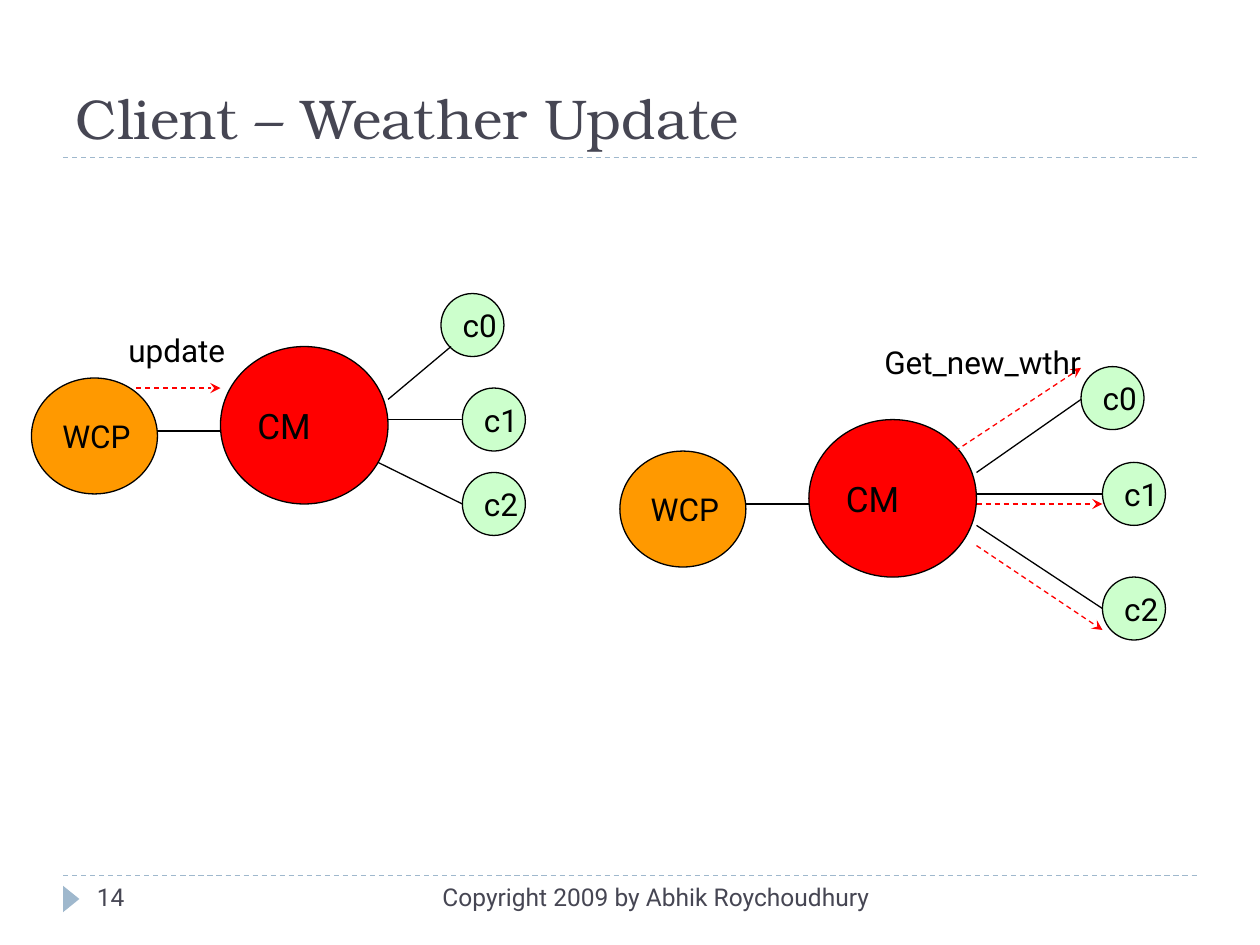
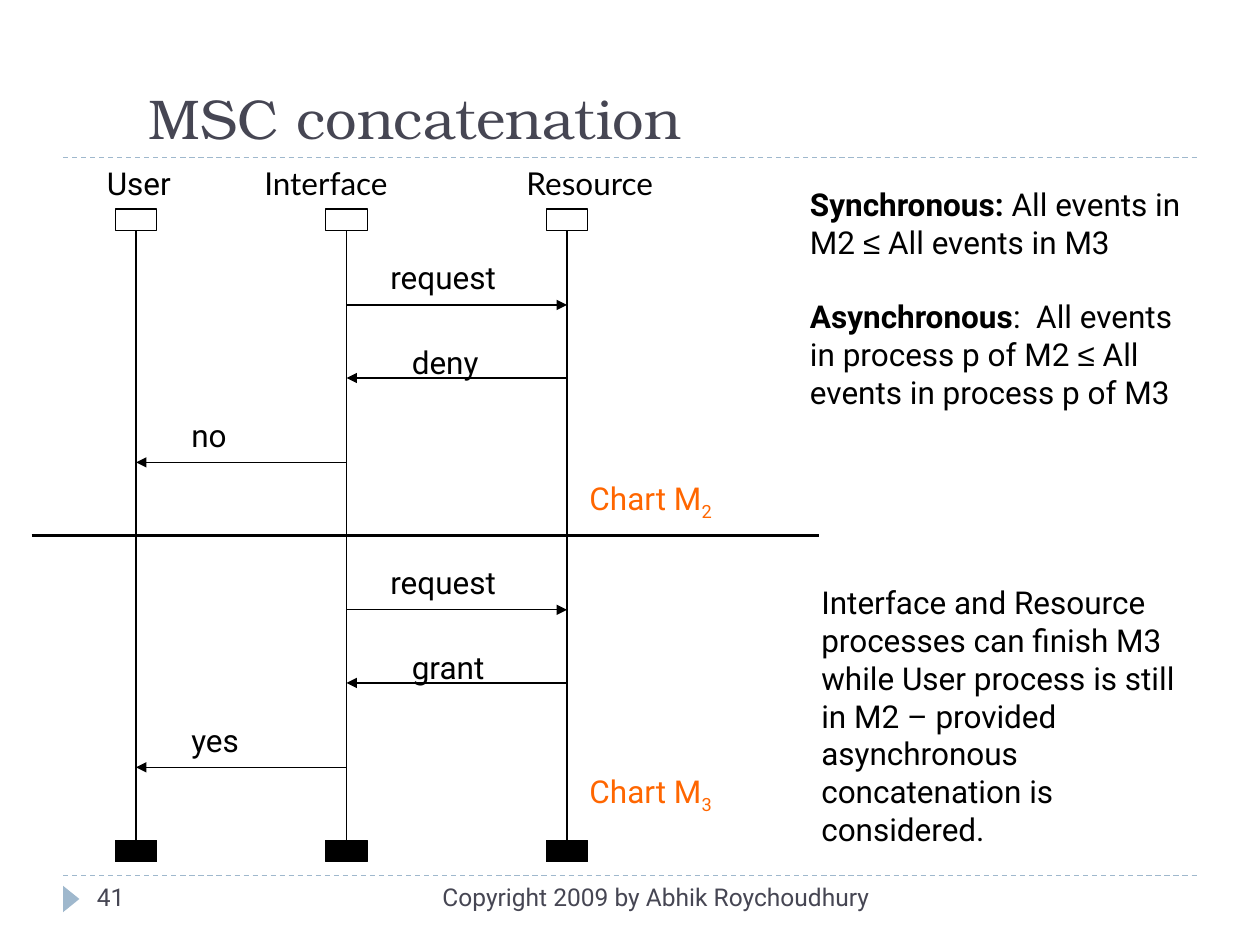
from lxml.etree import SubElement
from pptx import Presentation
from pptx.dml.color import RGBColor
from pptx.enum.dml import MSO_LINE
from pptx.enum.shapes import MSO_CONNECTOR, MSO_SHAPE
from pptx.enum.text import MSO_ANCHOR, MSO_AUTO_SIZE, PP_ALIGN
from pptx.oxml.ns import qn
from pptx.util import Inches, Pt

BLACK = RGBColor(0x00, 0x00, 0x00)
SLATE = RGBColor(0x46, 0x46, 0x53)
STEEL = RGBColor(0x9F, 0xB8, 0xCD)
RED = RGBColor(0xFF, 0x00, 0x00)
AMBER = RGBColor(0xFF, 0x99, 0x00)
MINT = RGBColor(0xCC, 0xFF, 0xCC)
ORANGE = RGBColor(0xFF, 0x66, 0x00)
TITLE_FONT, BODY_FONT, LABEL_FONT, SYMBOL_FONT = "TeX Gyre Bonum", "Roboto", "Lato", "Arial"

LIFELINES = (1.08, 2.75, 4.5)
MSC_TOP, MSC_HEIGHT = 1.83, 2.42
END_WIDTH, END_HEIGHT = 0.33, 0.17


def set_font(paragraph, size=18, color=BLACK, name=BODY_FONT):
    """Format a whole paragraph."""
    paragraph.font.size = Pt(size)
    paragraph.font.name = name
    paragraph.font.color.rgb = color


def add_text(slide, left, top, width, height, text, size=18, color=BLACK, name=BODY_FONT):
    """Add a wrapping text box and return its first paragraph."""
    frame = slide.shapes.add_textbox(Inches(left), Inches(top), Inches(width), Inches(height)).text_frame
    frame.word_wrap = True
    paragraph = frame.paragraphs[0]
    paragraph.text = text
    set_font(paragraph, size, color, name)
    return paragraph


def add_line(slide, start, end, color=BLACK, width=0.75, dashed=False, arrow=None):
    """Add a straight line, optionally dashed and with an arrowhead at its end."""
    line = slide.shapes.add_connector(MSO_CONNECTOR.STRAIGHT, *(Inches(v) for v in (*start, *end)))
    line.line.color.rgb = color
    line.line.width = Pt(width)
    if dashed:
        line.line.dash_style = MSO_LINE.DASH
    if arrow:
        SubElement(line.line._get_or_add_ln(), qn("a:tailEnd"), type=arrow)
    SubElement(line._element.spPr, qn("a:effectLst"))
    return line


def add_figure(slide, preset, left, top, width, height, fill=None, outline=BLACK):
    """Add a flat preset shape."""
    figure = slide.shapes.add_shape(preset, Inches(left), Inches(top), Inches(width), Inches(height))
    figure.shadow.inherit = False
    if fill is None:
        figure.fill.background()
    else:
        figure.fill.solid()
        figure.fill.fore_color.rgb = fill
    if outline is None:
        figure.line.fill.background()
    else:
        figure.line.color.rgb = outline
        figure.line.width = Pt(0.75)
    return figure


def add_node(slide, left, top, width, height, label, fill, size=18):
    """Add a labelled process circle."""
    node = add_figure(slide, MSO_SHAPE.OVAL, left, top, width, height, fill)
    frame = node.text_frame
    frame.word_wrap = False
    frame.vertical_anchor = MSO_ANCHOR.MIDDLE
    paragraph = frame.paragraphs[0]
    paragraph.text = label
    paragraph.alignment = PP_ALIGN.LEFT
    set_font(paragraph, size)


def add_base_slide(deck, title, number, left, top, width):
    """Start a slide with its title, rules and footer."""
    slide = deck.slides.add_slide(deck.slide_layouts[5])
    heading = slide.shapes.title
    heading.left, heading.top = Inches(left), Inches(top)
    heading.width, heading.height = Inches(width), Inches(1.25 - top)
    frame = heading.text_frame
    frame.text = title
    frame.auto_size = MSO_AUTO_SIZE.NONE
    frame.vertical_anchor = MSO_ANCHOR.BOTTOM
    frame.paragraphs[0].alignment = PP_ALIGN.LEFT
    set_font(frame.paragraphs[0], 32, SLATE, TITLE_FONT)
    for y in (6.95, 1.25):
        add_line(slide, (0.5, y), (9.5, y), STEEL, dashed=True)
    marker = add_figure(slide, MSO_SHAPE.ISOSCELES_TRIANGLE, 0.46, 7.07, 0.21, 0.13, STEEL, None)
    marker.rotation = 90
    notice = add_text(slide, 3.17, 6.95, 3.83, 0.4, "Copyright 2009 by Abhik Roychoudhury", 14, SLATE)
    notice.alignment = PP_ALIGN.RIGHT
    add_text(slide, 0.67, 6.95, 2.17, 0.4, number, 14, SLATE)
    return slide


def add_network(slide, left, top, clients, links, messages, caption):
    """Draw WCP, CM and the clients, with all offsets taken from the box corner."""
    def at(x, y):
        return left + x, top + y

    add_node(slide, *at(1.5, 0.42), 1.33, 1.25, "CM", RED, 20)
    add_node(slide, *at(0, 0.67), 1, 0.92, "WCP", AMBER)
    for index, client in enumerate(clients):
        add_node(slide, *at(*client), 0.5, 0.5, f"c{index}", MINT)
    for start, end in (((1.5, 1.09), (1, 1.09)), *links):
        add_line(slide, at(*start), at(*end))
    for start, end in messages:
        add_line(slide, at(*start), at(*end), RED, dashed=True, arrow="stealth")
    x, y, width, text = caption
    add_text(slide, *at(x, y), width, 0.4, text)


def add_weather_slide(deck):
    """Build the slide on the client weather update."""
    slide = add_base_slide(deck, "Client – Weather Update", "14", 0.5, 0.17, 9)
    add_network(
        slide, 0.25, 2.33,
        clients=((3.25, 0), (3.42, 0.75), (3.42, 1.42)),
        links=(((3.33, 0.42), (2.83, 0.84)), ((3.42, 1), (2.83, 1)), ((3.42, 1.67), (2.75, 1.34))),
        messages=(((0.83, 0.75), (1.5, 0.75)),),
        caption=(0.67, 0.25, 1.5, "update"))
    add_network(
        slide, 4.92, 2.91,
        clients=((3.66, 0), (3.83, 0.76), (3.83, 1.67)),
        links=(((3.66, 0.26), (2.83, 0.84)), ((3.83, 1.01), (2.83, 1.01)), ((3.83, 1.92), (2.83, 1.26))),
        messages=(((2.66, 0.67), (3.66, 0.01)), ((2.83, 1.09), (3.83, 1.09)), ((2.83, 1.42), (3.83, 2.09))),
        caption=(2, -0.24, 2, "Get_new_wthr"))


def add_process_ends(slide, top, fill=None):
    """Add one row of boxes centred on the lifelines."""
    return [add_figure(slide, MSO_SHAPE.RECTANGLE, x - END_WIDTH / 2, top, END_WIDTH, END_HEIGHT, fill)
            for x in LIFELINES]


def add_msc(slide, top, answers, number, name_offset):
    """Draw one chart: lifelines, three messages and the chart name."""
    user, interface, resource = LIFELINES
    lifelines = [add_line(slide, (x, top), (x, top + MSC_HEIGHT)) for x in LIFELINES]
    messages = (
        (interface, resource, 0.59, 3, 0.17, "request"),
        (resource, interface, 1.17, 3.17, 0.84, answers[0]),
        (interface, user, 1.84, 1.42, 1.42, answers[1]),
    )
    for sender, receiver, y, label_left, label_top, label in messages:
        add_line(slide, (sender, top + y), (receiver, top + y), arrow="triangle")
        add_text(slide, label_left, top + label_top, 1.17, 0.4, label)
    name = add_text(slide, 4.58, top + name_offset, 1.42, 0.44, "Chart M", color=ORANGE)
    subscript = name.add_run()
    subscript.text = number
    subscript.font._element.set("baseline", "-25000")
    return lifelines


def add_definitions(slide, left, top, width, height):
    """Explain the two kinds of concatenation."""
    definitions = (
        ("Synchronous:", " All events in M2 ", " All events in M3"),
        ("Asynchronous", ":  All events in process p of M2 ", " All events in process p of M3"),
    )
    paragraph = add_text(slide, left, top, width, height, "")
    frame = slide.shapes[-1].text_frame
    for index, (term, before, after) in enumerate(definitions):
        if index:
            paragraph = frame.add_paragraph()
            paragraph.space_before = Pt(21)
            set_font(paragraph)
        for text in (term, before, "≤", after):
            run = paragraph.add_run()
            run.text = text
            if text == term:
                run.font.bold = True
            elif text == "≤":
                run.font.name = SYMBOL_FONT


def add_msc_slide(deck):
    """Build the slide on concatenating two message sequence charts."""
    slide = add_base_slide(deck, "MSC concatenation", "41", 1.08, 0, 8.5)
    processes = (("User", 0.75, 1, BODY_FONT), ("Interface", 2, 1.67, LABEL_FONT), ("Resource", 4.08, 1.5, LABEL_FONT))
    for process, left, width, font in processes:
        add_text(slide, left, 1.25, width, 0.4, process, name=font)
    heads = add_process_ends(slide, MSC_TOP - END_HEIGHT)
    seam = MSC_TOP + MSC_HEIGHT
    feet = add_process_ends(slide, seam + MSC_HEIGHT, BLACK)
    upper = add_msc(slide, MSC_TOP, ("deny", "no"), "2", 1.92)
    lower = add_msc(slide, seam, ("grant", "yes"), "3", 1.83)
    for head, foot, first, last in zip(heads, feet, upper, lower):
        first.begin_connect(head, 2)
        last.end_connect(foot, 0)
    add_line(slide, (0.25, seam), (6.5, seam), width=2)
    add_definitions(slide, 6.33, 1.42, 3.25, 2.2)
    add_text(slide, 6.42, 4.58, 3.17, 2.2,
             "Interface and Resource processes can finish M3 while User process is still in M2 – "
             "provided asynchronous concatenation is considered.")


def main():
    """Build and save the deck."""
    deck = Presentation()
    deck.slide_width, deck.slide_height = Inches(10), Inches(7.5)
    add_weather_slide(deck)
    add_msc_slide(deck)
    deck.save("out.pptx")


if __name__ == "__main__":
    main()
